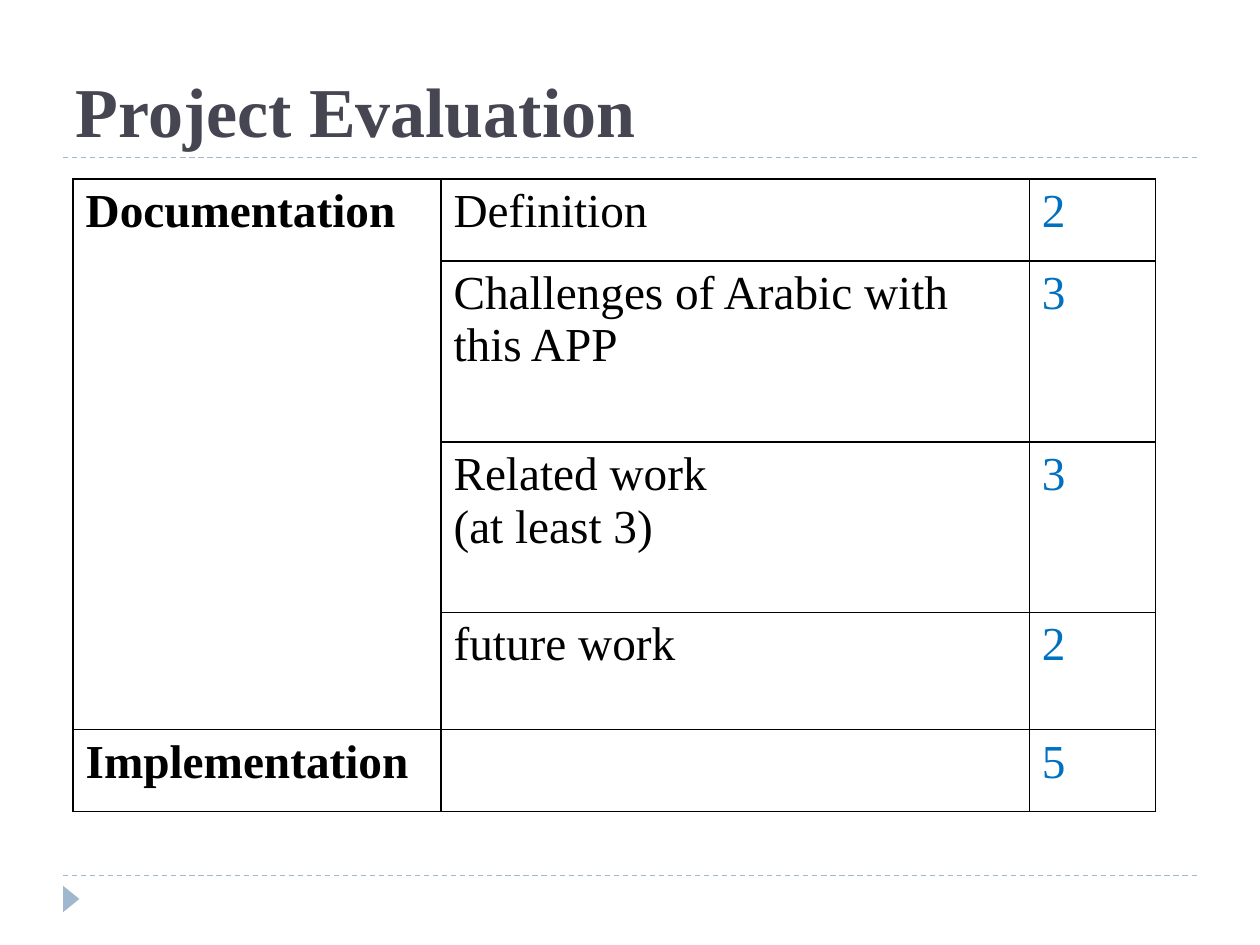
from pptx import Presentation
from pptx.dml.color import RGBColor
from pptx.enum.dml import MSO_LINE_DASH_STYLE as Dash
from pptx.enum.shapes import MSO_CONNECTOR as Connector, MSO_SHAPE as Shape
from pptx.enum.text import MSO_ANCHOR as Anchor, PP_ALIGN as Align
from pptx.oxml.xmlchemy import OxmlElement
from pptx.util import Inches, Pt


def color(value):
    return RGBColor.from_string(value)


class EvaluationSlide:
    font = "Times New Roman"
    ink = "000000"
    heading = "464653"
    accent = "9FB8CD"
    score = "0070C0"
    paper = "FFFFFF"
    columns, rows = 100, 75

    def __init__(self, deck):
        self.column = deck.slide_width / self.columns
        self.row = deck.slide_height / self.rows
        self.page = deck.slides.add_slide(deck.slide_layouts[5])

    def x(self, count):
        return round(count * self.column)

    def y(self, count):
        return round(count * self.row)

    def frame(self, left, top, width, height):
        return self.x(left), self.y(top), self.x(width), self.y(height)

    def fill_text(self, text_frame, text, size, value, bold=False):
        text_frame.text = text
        for para in text_frame.paragraphs:
            para.alignment = Align.LEFT
            for span in para.runs:
                span.font.name = self.font
                span.font.size = Pt(size)
                span.font.bold = bold
                span.font.color.rgb = color(value)

    def title(self, text, *place):
        box = self.page.shapes.title
        box.left, box.top, box.width, box.height = self.frame(*place)
        box.text_frame.vertical_anchor = Anchor.BOTTOM
        self.fill_text(box.text_frame, text, 40, self.heading, bold=True)

    def rule(self, left, right, level):
        line = self.page.shapes.add_connector(
            Connector.STRAIGHT, self.x(left), self.y(level), self.x(right), self.y(level))
        line.line.color.rgb = color(self.accent)
        line.line.width = Pt(0.75)
        line.line.dash_style = Dash.DASH
        line._element.spPr.append(OxmlElement("a:effectLst"))

    def marker(self, *place):
        triangle = self.page.shapes.add_shape(Shape.ISOSCELES_TRIANGLE, *self.frame(*place))
        triangle.rotation = 90
        triangle.shadow.inherit = False
        triangle.fill.solid()
        triangle.fill.fore_color.rgb = color(self.accent)
        triangle.line.fill.background()

    def border(self, cell):
        properties = cell._tc.get_or_add_tcPr()
        for position, side in enumerate(("lnL", "lnR", "lnT", "lnB")):
            edge = OxmlElement(f"a:{side}")
            edge.set("w", str(Pt(1)))
            fill = OxmlElement("a:solidFill")
            tint = OxmlElement("a:srgbClr")
            tint.set("val", self.ink)
            fill.append(tint)
            edge.append(fill)
            properties.insert(position, edge)

    def table(self, left, top, widths, heights, content):
        place = self.frame(left, top, sum(widths), sum(heights))
        table = self.page.shapes.add_table(len(heights), len(widths), *place).table
        table.first_row = table.horz_banding = False
        for column, width in zip(table.columns, widths):
            column.width = self.x(width)
        for row, height in zip(table.rows, heights):
            row.height = self.y(height)
        for row, texts in zip(table.rows, content):
            for index, (cell, text) in enumerate(zip(row.cells, texts)):
                cell.fill.solid()
                cell.fill.fore_color.rgb = color(self.paper)
                self.border(cell)
                value = self.score if index == 2 else self.ink
                self.fill_text(cell.text_frame, text, 27, value, bold=index == 0)
        return table


def main():
    deck = Presentation()
    deck.slide_width, deck.slide_height = Inches(10), Inches(7.5)
    slide = EvaluationSlide(deck)
    for level in (12.5, 69.5):
        slide.rule(5, 95, level)
    slide.marker(4.6, 70.7, 2.1, 1.3)
    slide.title("Project Evaluation", 5, 1.7, 90, 10.8)
    criteria = slide.table(
        5.8, 14.2, (29.2, 46.7, 10), (6.5, 14.4, 13.5, 9.3, 6.5),
        (
            ("Documentation", "Definition", "2"),
            ("", "Challenges of Arabic with this APP", "3"),
            ("", "Related work\n(at least 3)", "3"),
            ("", "future work", "2"),
            ("Implementation", "", "5"),
        ))
    criteria.cell(0, 0).merge(criteria.cell(3, 0))
    deck.save("out.pptx")


if __name__ == "__main__":
    main()
